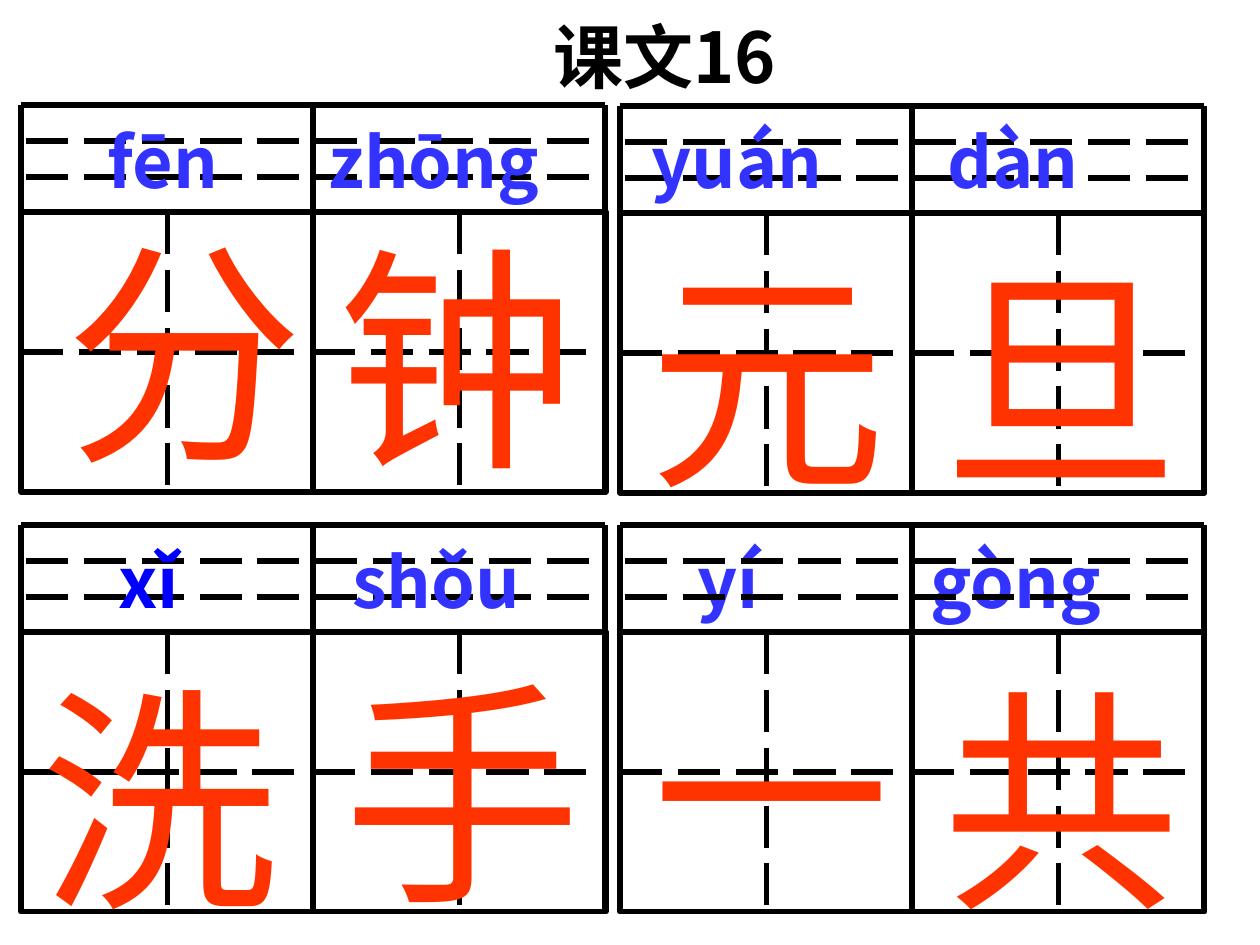
from lxml import etree
from pptx import Presentation
from pptx.dml.color import RGBColor
from pptx.enum.dml import MSO_LINE
from pptx.enum.shapes import MSO_CONNECTOR, MSO_SHAPE
from pptx.enum.text import MSO_ANCHOR, MSO_AUTO_SIZE
from pptx.oxml.ns import qn
from pptx.util import Pt

PX = 914400 // 126
STRAIGHT = MSO_CONNECTOR.STRAIGHT
RECTANGLE = MSO_SHAPE.RECTANGLE
LONG_DASH = MSO_LINE.LONG_DASH
BLACK = RGBColor(0x00, 0x00, 0x00)
RED = RGBColor(0xFF, 0x33, 0x00)
BLUE = RGBColor(0x33, 0x33, 0xFF)
PURE_BLUE = RGBColor(0x00, 0x00, 0xFF)
SANS = "Noto Sans CJK SC"
ARIAL = "Arial"
LINE_HEIGHT = 1.288  # of the text size

# Content: spans are (text, colour), places are px
TITLE = {"spans": [("课文16", BLACK)], "at": (541, 0, 318, 97)}
TOP_PINYIN = {
    "spans": [("\tfēn\tzhōng\tyuán\tdàn", BLUE)],
    "at": (0, 105, 1255, 97),
    "tabs": (95, 316, 639, 935),
}
BOTTOM_PINYIN = {
    "spans": [("\txǐ", PURE_BLUE), ("\tshǒu\tyí\tgòng", BLUE)],
    "at": (-21, 525, 1207, 181),
    "tabs": (127, 361, 706, 939),
}
TOP_GRIDS = [(21, 105), (620, 106)]
BOTTOM_GRIDS = [(21, 525), (620, 525)]
TOP_CHARACTERS = [
    ("钟", 325, 185, SANS), ("分", 53, 179, SANS),
    ("元", 636, 205, ARIAL), ("旦", 930, 205, ARIAL),
]
WASH_HANDS = [("手", 331, 620, ARIAL), ("洗", 28, 626, ARIAL)]
ALTOGETHER = [("一", 640, 620, ARIAL), ("共", 930, 626, ARIAL)]

# Grid measures
CELL_STEP, CELL_WIDTH, CELL_HEIGHT = 292, 293, 280
PINYIN_HEIGHT, PINYIN_GAP, PINYIN_INDENT = 107, 36, 5
GUIDE_LENGTH = 287
CHARACTER_SIZE = (288, 299)


def style_line(line, dashed=False):
    line.color.rgb = BLACK
    line.width = Pt(3)
    if dashed:
        line.dash_style = LONG_DASH


def add_line(shapes, x1, y1, x2, y2, dashed=False):
    line = shapes.add_connector(STRAIGHT, *(round(v * PX) for v in (x1, y1, x2, y2)))
    style_line(line.line, dashed)
    etree.SubElement(line._element.spPr, qn("a:effectLst"))
    return line


def add_cell(shapes, x, y):
    cell = shapes.add_shape(
        RECTANGLE, x * PX, y * PX, CELL_WIDTH * PX, CELL_HEIGHT * PX)
    cell.shadow.inherit = False
    cell.fill.background()
    style_line(cell.line)
    middle_x, middle_y = x + CELL_WIDTH / 2, y + CELL_HEIGHT / 2
    upright = add_line(shapes, middle_x, y, middle_x, y + CELL_HEIGHT, dashed=True)
    upright.begin_connect(cell, 0)
    upright.end_connect(cell, 2)
    level = add_line(shapes, x, middle_y, x + GUIDE_LENGTH, middle_y, dashed=True)
    level.begin_connect(cell, 1)


def add_grid(page, x, y):
    shapes = page.shapes.add_group_shape().shapes
    right = x + 2 * CELL_STEP
    cell_top = y + PINYIN_HEIGHT
    for column in range(2):
        add_cell(shapes, x + column * CELL_STEP, cell_top)
    add_line(shapes, x, y, right, y)
    for row in (1, 2):
        guide_y = y + row * PINYIN_GAP
        add_line(shapes, x + PINYIN_INDENT, guide_y, right, guide_y, dashed=True)
    for column in range(3):
        side = x + column * CELL_STEP
        add_line(shapes, side, y, side, cell_top + CELL_HEIGHT)


def add_text(page, spans, at, size=40, font=SANS, bold=True, tabs=()):
    box = page.shapes.add_textbox(*(v * PX for v in at))
    frame = box.text_frame
    frame.word_wrap = True
    frame.auto_size = MSO_AUTO_SIZE.SHAPE_TO_FIT_TEXT
    frame.vertical_anchor = MSO_ANCHOR.TOP
    para = frame.paragraphs[0]
    if tabs:
        tab_list = etree.SubElement(para._p.get_or_add_pPr(), qn("a:tabLst"))
        for stop in tabs:
            etree.SubElement(tab_list, qn("a:tab"), pos=str(stop * PX), algn="l")
    para.line_spacing = Pt(round(size * LINE_HEIGHT))
    for text, color in spans:
        span = para.add_run()
        span.text = text
        span.font.size = Pt(size)
        span.font.bold = bold
        span.font.color.rgb = color
        span.font.name = font
        east_asian = etree.SubElement(span._r.get_or_add_rPr(), qn("a:ea"))
        east_asian.set("typeface", SANS)


def add_characters(page, characters):
    for character, x, y, font in characters:
        add_text(page, [(character, RED)], (x, y, *CHARACTER_SIZE),
                 size=136, font=font, bold=False)


def main():
    deck = Presentation()
    deck.slide_width, deck.slide_height = 1260 * PX, 945 * PX
    page = deck.slides.add_slide(deck.slide_layouts[6])

    # Upper row and title
    for origin in TOP_GRIDS:
        add_grid(page, *origin)
    add_characters(page, TOP_CHARACTERS)
    add_text(page, **TOP_PINYIN)
    add_text(page, **TITLE)

    # Lower row: the right grid lies over the pinyin
    left_grid, right_grid = BOTTOM_GRIDS
    add_grid(page, *left_grid)
    add_text(page, **BOTTOM_PINYIN)
    add_characters(page, WASH_HANDS)
    add_grid(page, *right_grid)
    add_characters(page, ALTOGETHER)

    deck.save("out.pptx")


if __name__ == "__main__":
    main()
